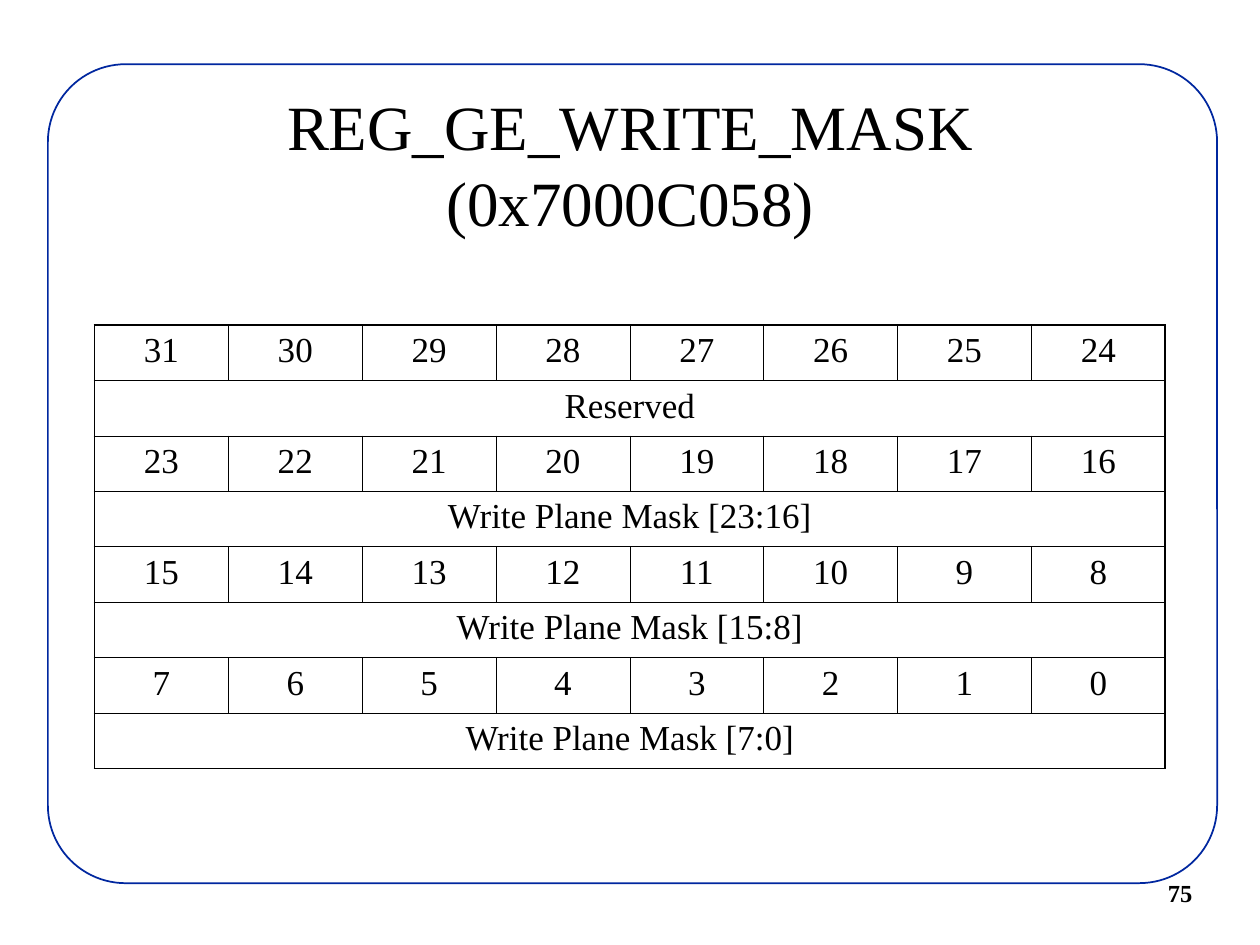
"""Build the REG_GE_WRITE_MASK register layout slide."""
from dataclasses import dataclass

from lxml import etree
from pptx import Presentation
from pptx.dml.color import RGBColor
from pptx.enum.shapes import MSO_SHAPE
from pptx.enum.text import MSO_ANCHOR, PP_ALIGN
from pptx.oxml.ns import qn
from pptx.util import Inches, Pt

ROUNDED = MSO_SHAPE.ROUNDED_RECTANGLE
MIDDLE = MSO_ANCHOR.MIDDLE
CENTER = PP_ALIGN.CENTER
LEFT = PP_ALIGN.LEFT
FONT = "Times New Roman"
COLORS = {"ink": "000000", "paper": "FFFFFF", "frame": "00279F"}
BITS = 8
INNER_LINE = 0.45
OUTER_LINE = 1.08


@dataclass
class Field:
    high_bit: int
    label: str


FIELDS = [
    Field(31, "Reserved"),
    Field(23, "Write Plane Mask [23:16]"),
    Field(15, "Write Plane Mask [15:8]"),
    Field(7, "Write Plane Mask [7:0]"),
]


def color(name: str) -> RGBColor:
    return RGBColor.from_string(COLORS[name])


def add_span(para, text: str, size: float, bold: bool = False) -> None:
    span = para.add_run()
    span.text = text
    span.font.name = FONT
    span.font.size = Pt(size)
    span.font.bold = bold
    span.font.color.rgb = color("ink")


def add_frame(page) -> None:
    frame = page.shapes.add_shape(
        ROUNDED, Inches(0.38), Inches(0.51), Inches(9.28), Inches(6.5))
    frame.adjustments[0] = 0.095
    frame.shadow.inherit = False
    frame.fill.solid()
    frame.fill.fore_color.rgb = color("paper")
    frame.line.color.rgb = color("frame")
    frame.line.width = Pt(1)
    page.shapes.title.element.addprevious(frame.element)


def fill_title(page, lines: list[str]) -> None:
    title = page.shapes.title
    title.left, title.top = Inches(0.75), Inches(0.67)
    title.width, title.height = Inches(8.5), Inches(1.25)
    title.text_frame.vertical_anchor = MIDDLE
    para = title.text_frame.paragraphs[0]
    para.alignment = CENTER
    for index, line in enumerate(lines):
        if index:
            para.add_line_break()
        add_span(para, line, 36)


def add_page_number(page, number: str) -> None:
    box = page.shapes.add_textbox(
        Inches(9.17), Inches(6.92), Inches(1.08), Inches(0.33))
    box.text_frame.word_wrap = False
    para = box.text_frame.paragraphs[0]
    para.alignment = LEFT
    add_span(para, number, 14, bold=True)


def set_borders(cell, outer_sides: dict[str, bool]) -> None:
    properties = cell._tc.get_or_add_tcPr()
    for index, (side, outer) in enumerate(outer_sides.items()):
        width = Pt(OUTER_LINE if outer else INNER_LINE)
        line = etree.Element(qn(f"a:ln{side}"), w=str(int(width)))
        fill = etree.SubElement(line, qn("a:solidFill"))
        etree.SubElement(fill, qn("a:srgbClr"), val=COLORS["ink"])
        properties.insert(index, line)


def write_cell(cell, text: str) -> None:
    para = cell.text_frame.paragraphs[0]
    para.alignment = CENTER
    add_span(para, text, 20)


def add_register_table(page, fields: list[Field]) -> None:
    rows = 2 * len(fields)
    table = page.shapes.add_table(
        rows, BITS, Inches(0.75), Inches(2.58),
        Inches(8.5), Inches(0.44 * rows)).table
    table.first_row = False
    table.horz_banding = False
    for row in range(rows):
        for column in range(BITS):
            cell = table.cell(row, column)
            cell.margin_left = cell.margin_right = Inches(0.1)
            cell.margin_top = cell.margin_bottom = Inches(0.05)
            cell.fill.background()
            merged = row % 2 == 1
            set_borders(cell, {
                "L": column == 0,
                "R": merged or column == BITS - 1,
                "T": row == 0,
                "B": row == rows - 1,
            })
    for index, field in enumerate(fields):
        for column in range(BITS):
            write_cell(table.cell(2 * index, column), str(field.high_bit - column))
        label = table.cell(2 * index + 1, 0)
        label.merge(table.cell(2 * index + 1, BITS - 1))
        write_cell(label, field.label)


def main() -> None:
    deck = Presentation()
    deck.slide_width, deck.slide_height = Inches(10), Inches(7.5)
    page = deck.slides.add_slide(deck.slide_layouts[5])
    add_frame(page)
    fill_title(page, ["REG_GE_WRITE_MASK", "(0x7000C058)"])
    add_register_table(page, FIELDS)
    add_page_number(page, "75")
    deck.save("out.pptx")


if __name__ == "__main__":
    main()
